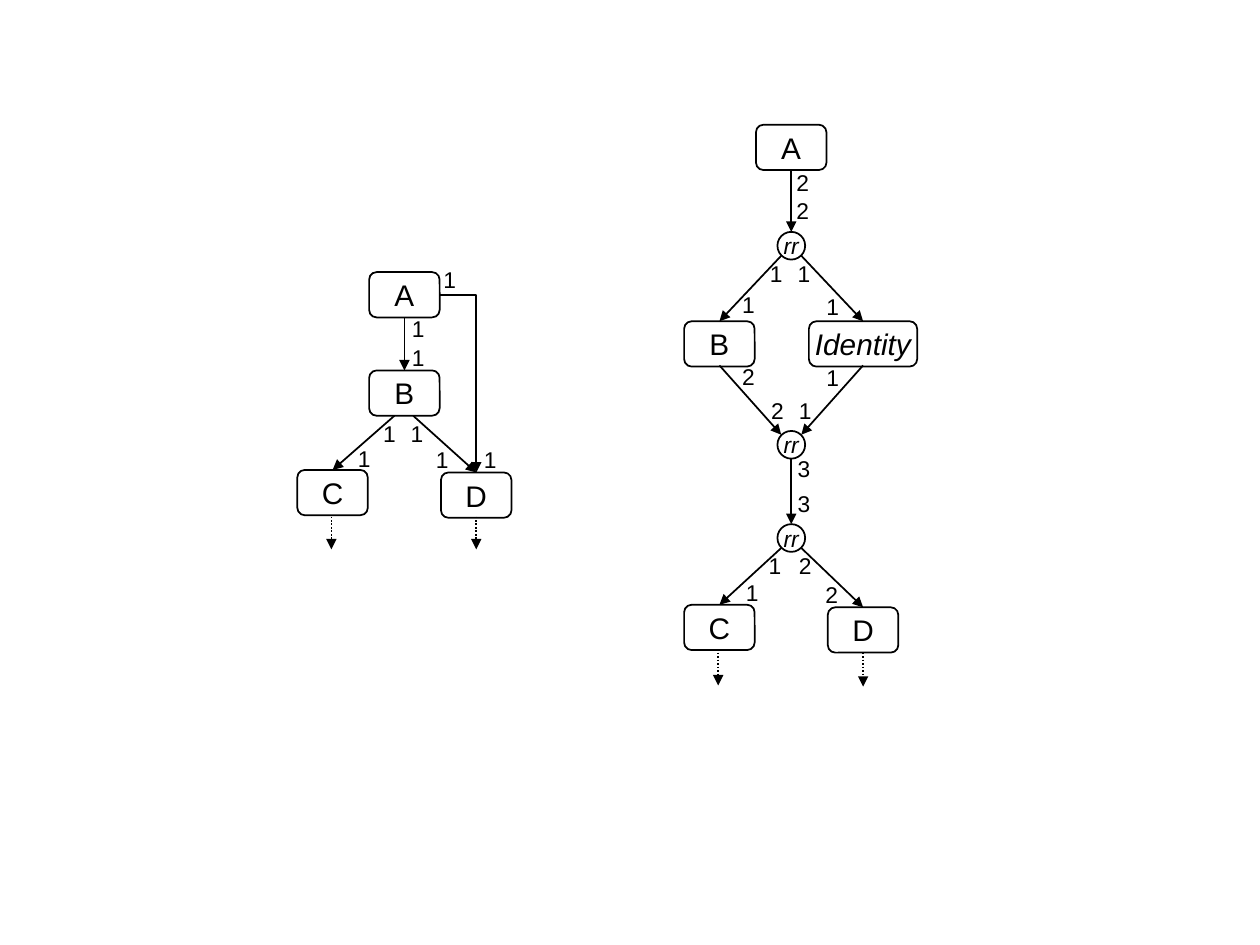
from lxml import etree
from pptx import Presentation
from pptx.dml.color import RGBColor
from pptx.enum.dml import MSO_LINE
from pptx.enum.shapes import MSO_CONNECTOR, MSO_SHAPE
from pptx.enum.text import MSO_ANCHOR, MSO_AUTO_SIZE, PP_ALIGN
from pptx.oxml.ns import qn
from pptx.util import Inches, Pt

BLACK = RGBColor(0, 0, 0)
WHITE = RGBColor(255, 255, 255)
ROUNDED, OVAL = MSO_SHAPE.ROUNDED_RECTANGLE, MSO_SHAPE.OVAL
STRAIGHT, ELBOW = MSO_CONNECTOR.STRAIGHT, MSO_CONNECTOR.ELBOW
MIDDLE, TOP = MSO_ANCHOR.MIDDLE, MSO_ANCHOR.TOP
DOTTED = MSO_LINE.ROUND_DOT

NODE_WIDTH, NODE_HEIGHT = 0.56, 0.36
ROUTER_SIZE = 0.22
LABEL_WIDTH, LABEL_HEIGHT = 0.3, 0.32
NODE_SIZE, RATE_SIZE = 17, 13
NODE_MARGIN, RATE_MARGIN = 0.11, 0.1
ROUTER_X = 6.28

# Nodes: text, centre x, top
LEFT_NODES = [("A", 3.21, 2.16), ("B", 3.21, 2.94), ("C", 2.64, 3.73), ("D", 3.78, 3.75)]
RIGHT_NODES = [("A", ROUTER_X, 0.99), ("B", 5.71, 2.55), ("C", 5.71, 4.8), ("D", 6.85, 4.82)]
ROUTER_TOPS = [1.84, 3.42, 4.16]

# Arrows: start x, start y, end x, end y
LEFT_ARROWS = [(3.21, 2.52, 3.21, 2.94), (3.13, 3.3, 2.64, 3.73), (3.28, 3.3, 3.78, 3.75)]
RIGHT_ARROWS = [
    (ROUTER_X, 1.35, ROUTER_X, 1.84),
    (6.2, 2.03, 5.71, 2.55), (6.36, 2.03, 6.85, 2.55),
    (5.71, 2.9, 6.2, 3.45), (6.85, 2.9, 6.36, 3.45),
    (ROUTER_X, 3.64, ROUTER_X, 4.16),
    (6.2, 4.35, 5.71, 4.8), (6.36, 4.35, 6.85, 4.82),
]
OUTPUT_ARROWS = [(2.63, 4.1, 2.63, 4.36), (3.78, 4.1, 3.78, 4.36),
                 (5.7, 5.18, 5.7, 5.44), (6.85, 5.18, 6.85, 5.45)]

# Rate labels: left and top of every label showing the same number
RATES = {
    "1": [(3.42, 2.06), (3.17, 2.45), (3.17, 2.68), (2.94, 3.28), (3.16, 3.28),
          (2.74, 3.48), (3.36, 3.49), (3.74, 3.49),
          (6.01, 2.01), (6.23, 2.01), (5.79, 2.26), (6.46, 2.27),
          (6.46, 2.84), (6.24, 3.1), (6, 4.33), (5.82, 4.54)],
    "2": [(6.22, 1.29), (6.22, 1.51), (5.79, 2.83), (6.02, 3.1),
          (6.24, 4.33), (6.45, 4.56)],
    "3": [(6.23, 3.56), (6.23, 3.84)],
}


def set_text(shape, text, size, margin, anchor, italic=False):
    frame = shape.text_frame
    layout = {"word_wrap": False, "vertical_anchor": anchor,
              "margin_left": Inches(margin), "margin_right": Inches(margin),
              "margin_top": Inches(0.05), "margin_bottom": Inches(0.05)}
    for name, value in layout.items():
        setattr(frame, name, value)
    paragraph = frame.paragraphs[0]
    paragraph.alignment = PP_ALIGN.CENTER
    run = paragraph.add_run()
    run.text = text
    for name, value in {"name": "Arial", "size": Pt(size), "italic": italic}.items():
        setattr(run.font, name, value)
    run.font.color.rgb = BLACK


def set_line(line):
    line.color.rgb = BLACK
    line.width = Pt(1)


def add_outline(slide, kind, center_x, top, width, height):
    shape = slide.shapes.add_shape(kind, Inches(center_x - width / 2), Inches(top),
                                   Inches(width), Inches(height))
    shape.shadow.inherit = False
    set_line(shape.line)
    return shape


def add_node(slide, text, center_x, top, width=NODE_WIDTH, italic=False):
    shape = add_outline(slide, ROUNDED, center_x, top, width, NODE_HEIGHT)
    shape.fill.background()
    set_text(shape, text, NODE_SIZE, NODE_MARGIN, MIDDLE, italic)


def add_router(slide, top):
    shape = add_outline(slide, OVAL, ROUTER_X, top, ROUTER_SIZE, ROUTER_SIZE)
    shape.fill.solid()
    shape.fill.fore_color.rgb = WHITE
    set_text(shape, "rr", RATE_SIZE, RATE_MARGIN, MIDDLE, italic=True)


def add_rate(slide, text, left, top):
    box = slide.shapes.add_textbox(Inches(left), Inches(top),
                                   Inches(LABEL_WIDTH), Inches(LABEL_HEIGHT))
    set_text(box, text, RATE_SIZE, RATE_MARGIN, TOP)
    box.text_frame.auto_size = MSO_AUTO_SIZE.SHAPE_TO_FIT_TEXT


def add_arrow(slide, points, kind=STRAIGHT, dash=None):
    connector = slide.shapes.add_connector(kind, *(Inches(value) for value in points))
    set_line(connector.line)
    if dash is not None:
        connector.line.dash_style = dash
    properties = connector._element.spPr
    etree.SubElement(properties.find(qn("a:ln")), qn("a:tailEnd"), type="triangle")
    etree.SubElement(properties, qn("a:effectLst"))
    if kind == ELBOW:
        # One corner only: across, then down
        properties.find(qn("a:prstGeom")).set("prst", "bentConnector2")


def main():
    presentation = Presentation()
    presentation.slide_width, presentation.slide_height = Inches(10), Inches(7.5)
    slide = presentation.slides.add_slide(presentation.slide_layouts[6])

    # Operators
    for node in LEFT_NODES + RIGHT_NODES:
        add_node(slide, *node)
    add_node(slide, "Identity", 6.85, 2.55, width=0.86, italic=True)
    for top in ROUTER_TOPS:
        add_router(slide, top)

    # Data flow
    for points in LEFT_ARROWS + RIGHT_ARROWS:
        add_arrow(slide, points)
    add_arrow(slide, (3.49, 2.34, 3.78, 3.75), kind=ELBOW)
    for points in OUTPUT_ARROWS:
        add_arrow(slide, points, dash=DOTTED)

    # Rates at both ends of each arrow
    for text, places in RATES.items():
        for left, top in places:
            add_rate(slide, text, left, top)

    presentation.save("out.pptx")


if __name__ == "__main__":
    main()
